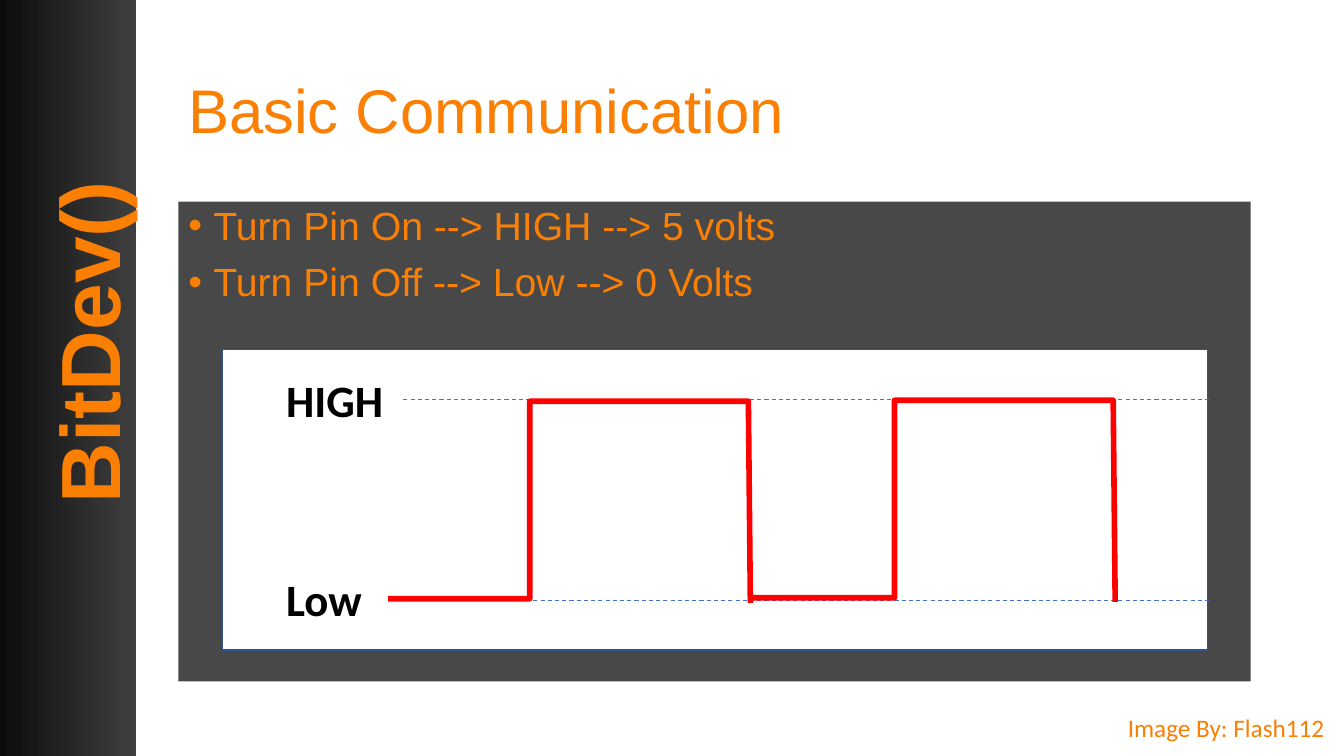
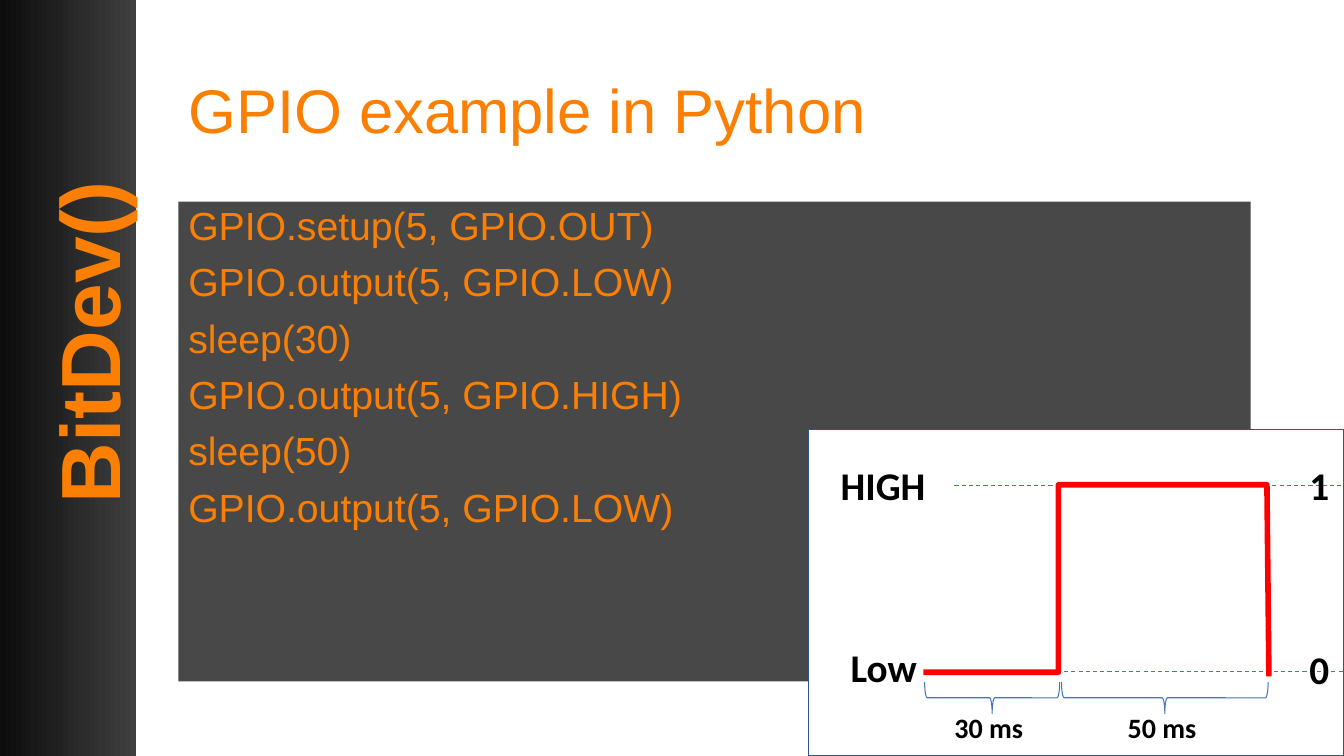
from pptx import Presentation
from pptx.dml.color import RGBColor
from pptx.enum.dml import MSO_LINE
from pptx.enum.shapes import MSO_CONNECTOR, MSO_SHAPE
from pptx.enum.text import MSO_ANCHOR
from pptx.oxml.ns import qn
from pptx.util import Pt
from lxml.etree import SubElement

ORANGE, BLACK, WHITE = "FB7F03", "000000", "FFFFFF"
DARK, GREY = "0C0C0C", "3F3F3F"
RED, BLUE, NAVY = "FF0000", "4472C4", "31538F"
HEADING_FONT, LABEL_FONT = "Arial", "Calibri"
SLIDE_W, SLIDE_H = 960, 540
TITLE_BOX = (127.4, 28.8, 766, 104.4)
BODY_BOX = (127.4, 144, 766, 342.7)


def color(hex_code):
    """Turn a hex string into a colour."""
    return RGBColor.from_string(hex_code)


def points(*lengths):
    """Convert lengths in points."""
    return [Pt(length) for length in lengths]


def set_line(line, hex_code, width):
    """Give a line its colour and width."""
    line.color.rgb = color(hex_code)
    line.width = Pt(width)


def add_text(slide, box, lines, size, font, hex_code=ORANGE, bold=False,
             spacing=1.0, before=0):
    """Place a wrapping text box with one paragraph per line."""
    holder = slide.shapes.add_textbox(*points(*box))
    frame = holder.text_frame
    frame.word_wrap = True
    for index, line in enumerate(lines):
        paragraph = frame.paragraphs[0] if index == 0 else frame.add_paragraph()
        paragraph.line_spacing = spacing
        paragraph.space_before = Pt(before if index else 0)
        run = paragraph.add_run()
        run.text = line
        run.font.size = Pt(size)
        run.font.name = font
        run.font.bold = bold
        run.font.color.rgb = color(hex_code)
    return holder


def add_preset(slide, preset, box):
    """Place a preset shape without a shadow."""
    shape = slide.shapes.add_shape(preset, *points(*box))
    shape.shadow.inherit = False
    return shape


def add_sidebar(slide, width, height):
    """Draw the gradient band with the upright team name."""
    band = add_preset(slide, MSO_SHAPE.RECTANGLE, (0, 0, width, height))
    band.line.fill.background()
    band.fill.gradient()
    band.fill.gradient_angle = 0
    for stop, shade in zip(band.fill.gradient_stops, (DARK, GREY)):
        stop.color.rgb = color(shade)
    team = add_text(slide, (-91.4, 172.8, 307.4, 79.9), ["BitDev()"], 60,
                    HEADING_FONT, bold=True)
    team.rotation = 270


def add_bullet(paragraph):
    """Give a paragraph a hanging orange bullet."""
    props = paragraph._p.get_or_add_pPr()
    props.set("marL", str(Pt(18)))
    props.set("indent", str(-Pt(18)))
    bullet_color = SubElement(props, qn("a:buClr"))
    SubElement(bullet_color, qn("a:srgbClr"), val=ORANGE)
    SubElement(props, qn("a:buFont"), typeface=HEADING_FONT)
    SubElement(props, qn("a:buChar"), char="•")


def add_body(slide, box, lines, bulleted):
    """Place the translucent dark body with its lines."""
    body = add_text(slide, box, lines, 28, HEADING_FONT, spacing=0.9, before=10)
    body.fill.solid()
    body.fill.fore_color.rgb = color(DARK)
    tint = body._element.spPr.find(qn("a:solidFill"))[0]
    SubElement(tint, qn("a:alpha"), val="75000")
    if bulleted:
        for paragraph in body.text_frame.paragraphs:
            add_bullet(paragraph)


def add_content_slide(prs, title, lines, bulleted=False):
    """Add a slide with sidebar, title and body."""
    slide = prs.slides.add_slide(prs.slide_layouts[6])
    add_sidebar(slide, 97.2, SLIDE_H)
    heading = add_text(slide, TITLE_BOX, [title], 44, HEADING_FONT, spacing=0.9)
    heading.text_frame.vertical_anchor = MSO_ANCHOR.MIDDLE
    add_body(slide, BODY_BOX, lines, bulleted)
    return slide


def add_panel(slide, box):
    """Draw the white panel behind a signal diagram."""
    panel = add_preset(slide, MSO_SHAPE.RECTANGLE, box)
    panel.fill.solid()
    panel.fill.fore_color.rgb = color(WHITE)
    set_line(panel.line, NAVY, 1)


def add_level(slide, start_x, end_x, y):
    """Draw a dashed level line."""
    level = slide.shapes.add_connector(
        MSO_CONNECTOR.STRAIGHT, *points(start_x, y, end_x, y))
    set_line(level.line, BLUE, 0.75)
    level.line.dash_style = MSO_LINE.DASH
    SubElement(level._element.spPr, qn("a:effectLst"))


def add_pulse(slide, x, low_y, low_w, high_w, height):
    """Draw one low-high-low pulse starting at its lower left."""
    rise_x, fall_x, high_y = x + low_w, x + low_w + high_w, low_y - height
    corners = [(rise_x, low_y), (rise_x, high_y), (fall_x, high_y),
               (fall_x + 1.4, low_y + 2.9)]
    outline = slide.shapes.build_freeform(*points(x, low_y))
    outline.add_line_segments([points(*corner) for corner in corners], close=False)
    pulse = outline.convert_to_shape()
    pulse.shadow.inherit = False
    pulse.fill.background()
    set_line(pulse.line, RED, 4)


def add_label(slide, x, y, width, text, size):
    """Place a bold black diagram label."""
    add_text(slide, (x, y, width, size * 1.43), [text], size, LABEL_FONT,
             BLACK, bold=True)


def add_duration(slide, x, y, width, label_x, text):
    """Draw a downward brace over a span, with its duration below."""
    depth = 22.6
    brace = add_preset(slide, MSO_SHAPE.RIGHT_BRACE,
                       (x + (width - depth) / 2, y + (depth - width) / 2,
                        depth, width))
    brace.rotation = 90
    brace.fill.background()
    set_line(brace.line, BLUE, 0.75)
    add_label(slide, label_x, y + 16.8, 66.2, text, 20)


def add_square_wave(slide, box):
    """Draw two pulses between the high and low levels."""
    left, top, width, _ = box
    add_panel(slide, box)
    for text, level_y, label_y in (("HIGH", 35.3, 13), ("Low", 179.3, 154.9)):
        add_level(slide, left + 129, left + width + 1.5, top + level_y)
        add_label(slide, left + 38.2, top + label_y, 86, text, 32)
    for index in range(2):
        add_pulse(slide, left + 118.1 + 260.6 * index,
                  top + 177.9 - 0.7 * index, 101.2, 156.2, 141.1)


def add_timed_pulse(slide, box):
    """Draw one pulse with bit values and durations."""
    left, top, width, _ = box
    add_panel(slide, box)
    levels = (("HIGH", "1", 16, 104.4, 40.3, 19.5, 19.5),
              ("Low", "0", 23.1, 95, 173.2, 149.1, 150.5))
    for text, bit, label_x, line_x, line_y, label_y, bit_y in levels:
        add_level(slide, left + line_x, left + width, top + line_y)
        add_label(slide, left + label_x, top + label_y, 82, text, 28)
        add_label(slide, left + width - 31.7, top + bit_y, 31.7, bit, 28)
    add_pulse(slide, left + 82.1, top + 173.5, 96.5, 149, 133.9)
    brace_y = top + 180.4
    add_duration(slide, left + 83, brace_y, 96.5, left + 97.3, "30 ms")
    add_duration(slide, left + 180.8, brace_y, 147.6, left + 221, "50 ms")


def main():
    """Build and save the slides."""
    prs = Presentation()
    prs.slide_width, prs.slide_height = points(SLIDE_W, SLIDE_H)

    basics = add_content_slide(
        prs, "Basic Communication",
        ["Turn Pin On --> HIGH --> 5 volts", "Turn Pin Off --> Low --> 0 Volts"],
        bulleted=True)
    add_text(basics, (798.5, 505.4, 158, 28.8), ["Image By: Flash112"], 18,
             LABEL_FONT)
    add_square_wave(basics, (159.1, 249.8, 703.4, 214.6))

    example = add_content_slide(
        prs, "GPIO example in Python",
        ["GPIO.setup(5, GPIO.OUT)", "GPIO.output(5, GPIO.LOW)", "sleep(30)",
         "GPIO.output(5, GPIO.HIGH)", "sleep(50)", "GPIO.output(5, GPIO.LOW)"])
    add_timed_pulse(example, (577.4, 306.7, 382.6, 233.3))

    prs.save("out.pptx")


if __name__ == "__main__":
    main()
